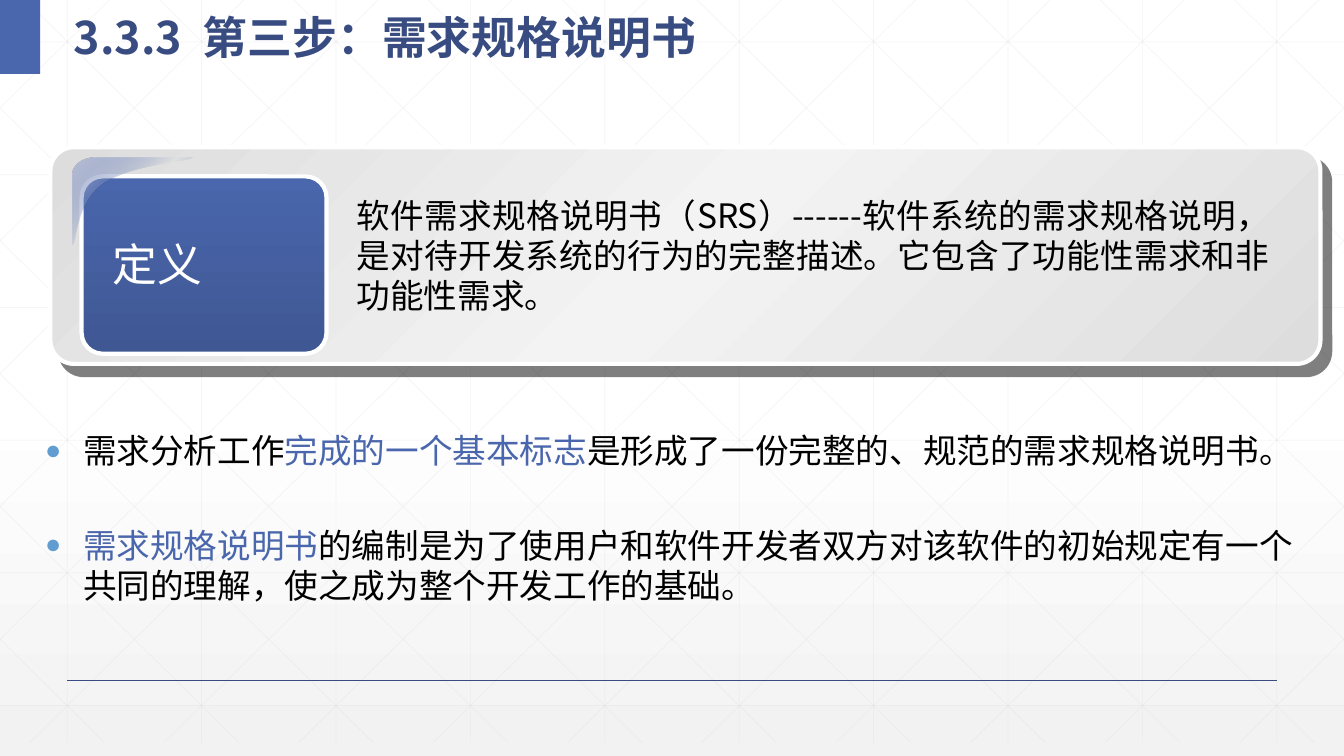
from lxml import etree
from pptx import Presentation
from pptx.dml.color import RGBColor
from pptx.enum.shapes import MSO_CONNECTOR, MSO_SHAPE
from pptx.enum.text import MSO_ANCHOR, PP_ALIGN
from pptx.oxml.ns import qn
from pptx.util import Pt

LINE = MSO_CONNECTOR.STRAIGHT
RECT, ROUND = MSO_SHAPE.RECTANGLE, MSO_SHAPE.ROUNDED_RECTANGLE
TOP, MID = MSO_ANCHOR.TOP, MSO_ANCHOR.MIDDLE
LEFT, FULL = PP_ALIGN.LEFT, PP_ALIGN.JUSTIFY

BLUE, NAVY = RGBColor(0x4A, 0x66, 0xAC), RGBColor(0x38, 0x4C, 0x81)
DEEP, SKY = RGBColor(0x3F, 0x57, 0x93), RGBColor(0x62, 0x9D, 0xD1)
MIST, MESH = RGBColor(0xBA, 0xC0, 0xD7), RGBColor(0xD9, 0xD9, 0xD9)
GREY, PALE = RGBColor(0xDD, 0xDD, 0xDD), RGBColor(0xF3, 0xF3, 0xF3)
WHITE, SMOKE = RGBColor(0xFF, 0xFF, 0xFF), RGBColor(0xF2, 0xF2, 0xF2)
BLACK = RGBColor(0, 0, 0)

COLS, ROWS, UNIT = 40, 22.5, 304800  # square grid, a third of an inch
FONT = "Noto Sans CJK SC"


def emu(*cells):
    return [round(c * UNIT) for c in cells]


def node(root, tag, **attrs):
    item = etree.SubElement(root, qn(tag))
    for key, val in attrs.items():
        item.set(key, str(val))
    return item


def tint(root, color, alpha=100):
    clr = node(root, "a:srgbClr", val=color)
    if alpha < 100:
        node(clr, "a:alpha", val=alpha * 1000)


def blend(root, stops, angle):
    """Swap the first solid fill under root for a gradient."""
    old = root.find(".//" + qn("a:solidFill"))
    grad = etree.Element(qn("a:gradFill"), rotWithShape="1")
    items = node(grad, "a:gsLst")
    for place, *color in stops:
        tint(node(items, "a:gs", pos=place * 1000), *color)
    node(grad, "a:lin", ang=angle * 60000, scaled=0)
    old.getparent().replace(old, grad)


def shade(root, dist, angle, alpha):
    drop = node(node(root, "a:effectLst"), "a:outerShdw", blurRad=0,
                dist=Pt(dist), dir=angle * 60000, algn="ctr", rotWithShape=0)
    tint(drop, BLACK, alpha)


def write(frame, paras, size=24, color=BLACK, font=FONT, bold=False,
          align=LEFT, anchor=TOP, space=None, gaps=(), dot=None, drop=False):
    """Each paragraph is a list of (text, color or None) runs."""
    frame.word_wrap, frame.vertical_anchor = True, anchor
    for n, runs in enumerate(paras):
        para = frame.paragraphs[0] if n == 0 else frame.add_paragraph()
        para.alignment, para.line_spacing = align, space
        if gaps:
            para.space_before = Pt(gaps[n])
        if dot:
            props = para._p.get_or_add_pPr()
            props.set("marL", "342900")
            props.set("indent", "-342900")
            tint(node(props, "a:buClr"), dot)
            node(props, "a:buSzPct", val=80000)
            node(props, "a:buFont", typeface="Arial")
            node(props, "a:buChar", char="●")
        for text, own in runs:
            run = para.add_run()
            run.text = text
            face = run.font
            face.size, face.bold, face.name = Pt(size), bold, font
            face.color.rgb = own or color
            if drop:
                mark = etree.Element(qn("a:effectLst"))
                tint(node(mark, "a:outerShdw", blurRad=0, dist=Pt(2),
                          dir=2700000, algn="tl"), BLACK)
                face._element.find(qn("a:solidFill")).addnext(mark)
            node(face._element, "a:ea", typeface=FONT)


class Board:
    def __init__(self, deck):
        self.slide = deck.slides.add_slide(deck.slide_layouts[5])
        self.shapes = self.slide.shapes

    def back(self, stops, angle):
        self.slide.background.fill.solid()
        self.slide.background.fill.fore_color.rgb = WHITE
        blend(self.slide._element.cSld, stops, angle)

    def line(self, x1, y1, x2, y2, color, width, alpha=100):
        rule = self.shapes.add_connector(LINE, *emu(x1, y1, x2, y2))
        rule.line.color.rgb, rule.line.width = color, Pt(width)
        props = rule._element.spPr
        if alpha < 100:
            node(props.find(".//" + qn("a:srgbClr")), "a:alpha", val=alpha * 1000)
        node(props, "a:effectLst")

    def dress(self, shape, fill, angle, edge=None, drop=None):
        """A colour fills flat, a list of stops fills as a gradient."""
        flat = isinstance(fill, RGBColor)
        shape.fill.solid()
        shape.fill.fore_color.rgb = fill if flat else WHITE
        if edge:
            shape.line.color.rgb, shape.line.width = edge, Pt(3)
        else:
            shape.line.fill.background()
        if not flat:
            blend(shape._element.spPr, fill, angle)
        if drop:
            shade(shape._element.spPr, *drop)
        else:
            shape.shadow.inherit = False

    def box(self, kind, cells, fill, angle=0, bend=None, **look):
        shape = self.shapes.add_shape(kind, *emu(*cells))
        if bend:
            shape.adjustments[0] = bend
        self.dress(shape, fill, angle, **look)

    def curve(self, start, arcs, fill, angle):
        """Arcs hold three points of a cubic, or one point of a line."""
        spots, here = [], start
        for arc in arcs:
            if len(arc) == 1:
                spots += arc
            else:
                for t in (n / 12 for n in range(1, 13)):
                    mix = ((1 - t) ** 3, 3 * t * (1 - t) ** 2, 3 * t * t * (1 - t), t ** 3)
                    spots.append([sum(m * p[i] for m, p in zip(mix, (here, *arc)))
                                  for i in (0, 1)])
            here = arc[-1]
        pen = self.shapes.build_freeform(*emu(*start))
        pen.add_line_segments([emu(*s) for s in spots], close=True)
        self.dress(pen.convert_to_shape(), fill, angle)

    def text(self, cells, paras, **form):
        write(self.shapes.add_textbox(*emu(*cells)).text_frame, paras, **form)

    def title(self, cells, text, **form):
        head = self.shapes.title
        head.left, head.top, head.width, head.height = emu(*cells)
        self.shapes._spTree.append(head._element)  # above the mesh
        write(head.text_frame, [[(text, None)]], **form)

    def mesh(self, foot=22.1, step=4, rise=22.1 / 22.36):
        ends = [(x, 0, x, foot) for x in range(2, COLS, step)]
        ends += [(0, 1.25 + 3.95 * n, COLS, 1.25 + 3.95 * n) for n in range(6)]
        for n in range(-5, 10):
            x = 0.75 + step * n
            x1, x2 = max(x, 0), min(x + foot / rise, COLS)
            y1, y2 = (x1 - x) * rise, (x2 - x) * rise
            ends += [(x1, y1, x2, y2), (COLS - x1, y1, COLS - x2, y2)]
        for end in ends:
            self.line(*end, MESH, 0.5, 25)


def main():
    deck = Presentation()
    deck.slide_width, deck.slide_height = emu(COLS, ROWS)
    board = Board(deck)

    # Backdrop
    board.back([(0, WHITE), (53, WHITE), (100, SMOKE, 65)], 90)
    board.mesh()
    board.line(2, 20.25, 38, 20.25, NAVY, 1)

    # Heading
    board.box(RECT, (0, 0, 1.2, 2.2), BLUE)
    board.title((1.9, 0, 28.5, 2.2), "3.3.3  第三步：需求规格说明书",
                size=32, color=NAVY, bold=True, anchor=MID)

    # Key points
    board.text((1.05, 12.66, 37.83, 9.1), [
        [("需求分析工作", None), ("完成的一个基本标志", BLUE),
         ("是形成了一份完整的、规范的需求规格说明书。", None)],
        [("需求规格说明书", BLUE),
         ("的编制是为了使用户和软件开发者双方对该软件的初始规定有一个"
          "共同的理解，使之成为整个开发工作的基础。", None)],
    ], space=Pt(28.8), gaps=(4.8, 38.4), dot=SKY)

    # Definition card
    board.box(ROUND, (1.5, 4.38, 37.8, 6.45),
              [(0, GREY), (50, PALE), (100, GREY)], 45,
              bend=0.109, edge=WHITE, drop=(10.6, 49, 50))
    board.box(ROUND, (2.43, 5.25, 7.29, 5.28), [(0, BLUE), (100, DEEP)], 90,
              bend=0.119, edge=WHITE)
    board.curve((2.85, 4.68), [
        [(2.46, 4.68), (2.16, 4.92), (2.16, 5.19)],
        [(2.16, 7.29)],
        [(2.31, 7.32), (2.22, 6.03), (3.12, 5.43)],
        [(4.05, 4.86), (5.79, 4.8), (5.73, 4.68)],
    ], [(0, MIST), (50, BLUE, 0), (100, MIST)], 45)
    board.text((3.06, 6.9, 6.33, 1.8), [[("定义", None)]],
               size=32, color=WHITE, font="Arial", drop=True)
    board.text((10.32, 5.64, 27.78, 3.81), [[(
        "软件需求规格说明书（SRS）------软件系统的需求规格说明，"
        "是对待开发系统的行为的完整描述。它包含了功能性需求和非功能性需求。", None)]],
        align=FULL, space=Pt(28.8))

    deck.save("out.pptx")


if __name__ == "__main__":
    main()
